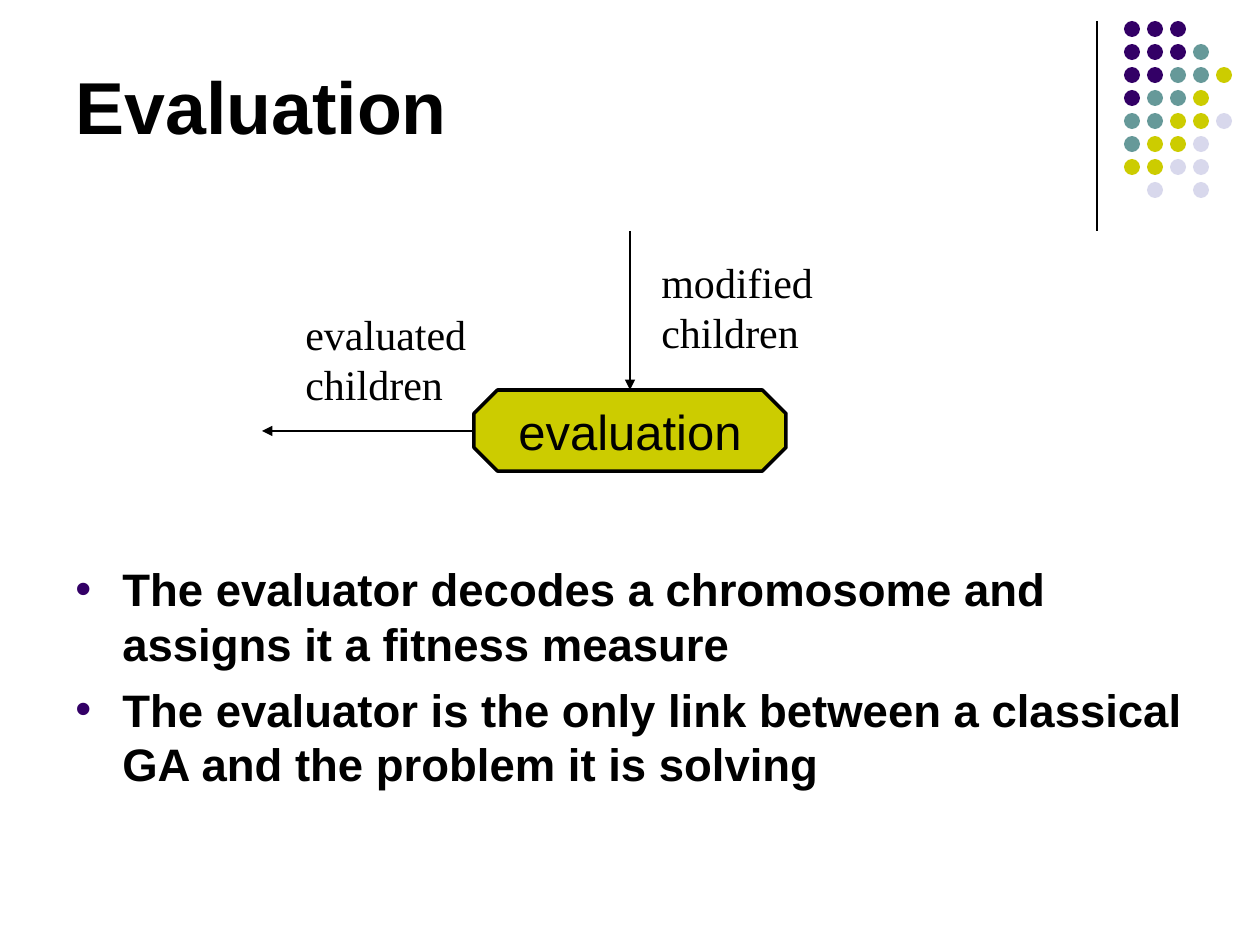
from lxml.etree import SubElement
from pptx import Presentation
from pptx.dml.color import RGBColor
from pptx.enum.shapes import MSO_CONNECTOR as Connector, MSO_SHAPE as Shape
from pptx.enum.text import MSO_ANCHOR as Anchor, MSO_AUTO_SIZE as AutoSize, PP_ALIGN as Align
from pptx.oxml.ns import qn
from pptx.util import Emu, Pt

EMU_PER_INCH = 914400
PX_PER_INCH = 126
COLORS = {
    "black": "000000",
    "purple": "330066",
    "teal": "669999",
    "olive": "CCCC00",
    "lavender": "D8D8EC",
}
DOT_COLORS = {"P": "purple", "T": "teal", "O": "olive", "L": "lavender"}
DOT_ROWS = ["PPP", "PPPT", "PPTTO", "PTTO", "TTOOL", "TOOL", "OOLL", " L L"]
DOT_LEFT, DOT_TOP, DOT_STEP, DOT_SIZE = 1124, 21, 23, 16
BULLETS = [
    "The evaluator decodes a chromosome and assigns it a fitness measure",
    "The evaluator is the only link between a classical GA and the problem it is solving",
]


def px(*lengths):
    return [Emu(round(length * EMU_PER_INCH / PX_PER_INCH)) for length in lengths]


def color(name):
    return RGBColor.from_string(COLORS[name])


def add_bullet(para):
    indent = px(47)[0]
    props = para._p.get_or_add_pPr()
    props.set("marL", str(indent))
    props.set("indent", str(-indent))
    bullet_color = SubElement(props, qn("a:buClr"))
    SubElement(bullet_color, qn("a:srgbClr"), val=COLORS["purple"])
    SubElement(props, qn("a:buFont"), typeface="Arial")
    SubElement(props, qn("a:buChar"), char="•")


def write_text(shape, lines, size, font="Arial", bold=False, align=Align.LEFT,
               anchor=Anchor.TOP, wrap=True, gap=0, bullets=False):
    frame = shape.text_frame
    frame.word_wrap = wrap
    frame.vertical_anchor = anchor
    for index, line in enumerate(lines):
        para = frame.add_paragraph() if index else frame.paragraphs[0]
        para.alignment = align
        para.space_before = Pt(gap if index else 0)
        if bullets:
            add_bullet(para)
        span = para.add_run()
        span.text = line
        span.font.name = font
        span.font.size = Pt(size)
        span.font.bold = bold
        span.font.color.rgb = color("black")


def add_text(page, bounds, lines, size, **style):
    box = page.shapes.add_textbox(*px(*bounds))
    write_text(box, lines, size, **style)
    return box


def add_label(page, bounds, lines):
    box = add_text(page, bounds, lines, 24, font="Times New Roman", wrap=False)
    box.text_frame.auto_size = AutoSize.SHAPE_TO_FIT_TEXT


def add_filled(page, kind, bounds, fill, line_width=None):
    shape = page.shapes.add_shape(kind, *px(*bounds))
    shape.shadow.inherit = False
    shape.fill.solid()
    shape.fill.fore_color.rgb = color(fill)
    if line_width:
        shape.line.color.rgb = color("black")
        shape.line.width = Pt(line_width)
    else:
        shape.line.fill.background()
    return shape


def add_line(page, start, end, width, arrow=False):
    line = page.shapes.add_connector(Connector.STRAIGHT, *px(*start, *end))
    line.line.color.rgb = color("black")
    line.line.width = Pt(width)
    if arrow:
        SubElement(line.line._get_or_add_ln(), qn("a:tailEnd"), type="triangle")
    SubElement(line._element.spPr, qn("a:effectLst"))


def add_dots(page):
    for row, marks in enumerate(DOT_ROWS):
        for column, mark in enumerate(marks):
            if mark in DOT_COLORS:
                left = DOT_LEFT + column * DOT_STEP
                top = DOT_TOP + row * DOT_STEP
                add_filled(page, Shape.OVAL, (left, top, DOT_SIZE, DOT_SIZE), DOT_COLORS[mark])


def main():
    deck = Presentation()
    deck.slide_width, deck.slide_height = px(1260, 945)
    page = deck.slides.add_slide(deck.slide_layouts[6])

    # Corner decoration
    add_line(page, (1097, 21), (1097, 231), 0.75)
    add_dots(page)

    # Title and bullets
    add_text(page, (63, 16, 1040, 139), ["Evaluation"], 42, bold=True, anchor=Anchor.BOTTOM)
    add_text(page, (63, 194, 1134, 603), BULLETS, 26,
             bold=True, anchor=Anchor.BOTTOM, gap=6.5, bullets=True)

    # Evaluation step with its input and output
    step = add_filled(page, Shape.OCTAGON, (474, 390, 312, 81), "olive", line_width=2)
    step.adjustments[0] = 0.29
    write_text(step, ["evaluation"], 28, align=Align.CENTER, anchor=Anchor.MIDDLE, wrap=False)
    add_line(page, (630, 231), (630, 390), 1, arrow=True)
    add_line(page, (474, 431), (262, 431), 1, arrow=True)
    add_label(page, (293, 302, 190, 113), ["evaluated", "children"])
    add_label(page, (649, 250, 190, 113), ["modified", "children"])

    deck.save("out.pptx")


if __name__ == "__main__":
    main()
